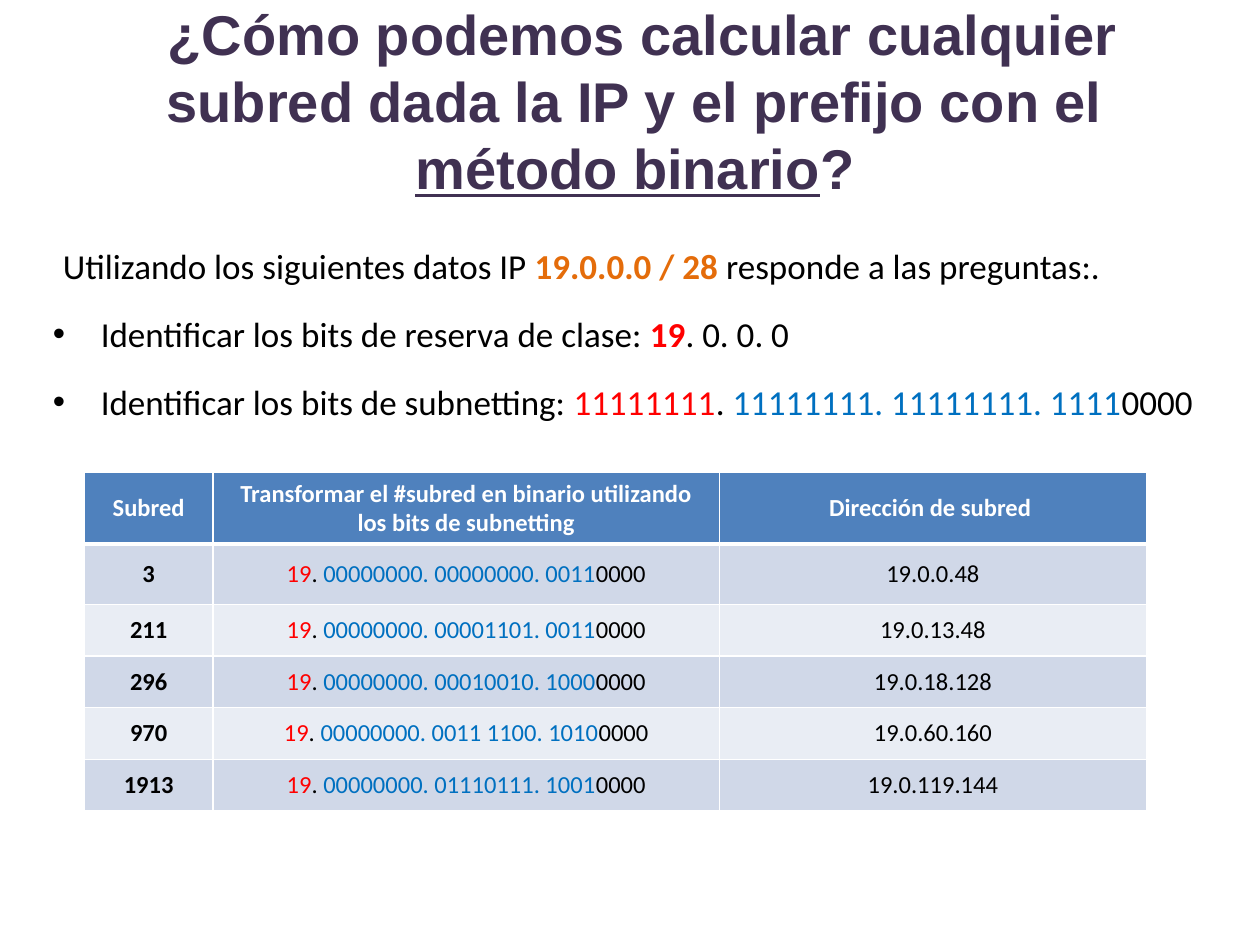
from lxml import etree
from pptx import Presentation
from pptx.dml.color import RGBColor
from pptx.enum.text import MSO_ANCHOR, PP_ALIGN
from pptx.oxml.ns import qn
from pptx.util import Inches, Pt

BLACK = RGBColor(0x00, 0x00, 0x00)
WHITE = RGBColor(0xFF, 0xFF, 0xFF)
RED = RGBColor(0xFF, 0x00, 0x00)
BLUE = RGBColor(0x00, 0x70, 0xC0)
ORANGE = RGBColor(0xE4, 0x6C, 0x0A)
PURPLE = RGBColor(0x40, 0x31, 0x52)
HEADER_FILL = RGBColor(0x4F, 0x81, 0xBD)
BAND_FILLS = [RGBColor(0xD0, 0xD8, 0xE8), RGBColor(0xE9, 0xED, 0xF4)]

# Spans are (text, colour, bold, underlined); the last two may be left out.
TITLE = [
    (" ", PURPLE),
    ("¿Cómo podemos calcular cualquier subred dada la IP y el prefijo con el ", PURPLE, True),
    ("método binario", PURPLE, True, True),
    ("?", PURPLE, True),
]
INTRO = [
    ("Utilizando los siguientes datos IP ", BLACK),
    ("19.0.0.0 / 28 ", ORANGE, True),
    ("responde a las preguntas:.", BLACK),
]
STEPS = [
    [("Identificar los bits de reserva de clase: ", BLACK),
     ("19", RED, True), (". 0. 0. 0 ", BLACK)],
    [("Identificar los bits de subnetting: ", BLACK), ("11111111", RED), (". ", BLACK),
     ("11111111. 11111111. 1111", BLUE), ("0000", BLACK)],
]
HEADERS = ["Subred", "Transformar el #subred en binario utilizando los bits de subnetting",
           "Dirección de subred "]
SUBNETS = [
    ("3", "00000000. 00000000. 0011", "19.0.0.48"),
    ("211", "00000000. 00001101. 0011", "19.0.13.48"),
    ("296", "00000000. 00010010. 1000", "19.0.18.128"),
    ("970", "00000000. 0011 1100. 1010", "19.0.60.160"),
    ("1913", "00000000. 01110111. 1001", "19.0.119.144"),
]
COLUMN_WIDTHS = [1.02, 4.02, 3.39]
ROW_HEIGHTS = [0.56, 0.48] + [0.41] * 4


def add_spans(para, spans, font, size, align):
    para.alignment = align
    for text, color, *style in spans:
        bold, underline = (style + [False, False])[:2]
        span = para.add_run()
        span.text = text
        span.font.name = font
        span.font.size = Pt(size)
        span.font.color.rgb = color
        span.font.bold = bold
        span.font.underline = underline


def add_frame(page, left, top, width, height, inset_x=0, inset_y=0):
    box = page.shapes.add_textbox(Inches(left), Inches(top), Inches(width), Inches(height))
    frame = box.text_frame
    frame.word_wrap = True
    frame.margin_left = frame.margin_right = Inches(inset_x)
    frame.margin_top = frame.margin_bottom = Inches(inset_y)
    return frame


def indent(para, margin, first_line=0, bullet=None):
    props = para._p.get_or_add_pPr()
    props.set("marL", str(Inches(margin)))
    props.set("indent", str(Inches(first_line)))
    if bullet:
        etree.SubElement(props, qn("a:buFont"), typeface="Arial")
        etree.SubElement(props, qn("a:buChar"), char=bullet)


def fill_cell(cell, spans, fill, bottom_width=1):
    """Write a cell with its fill and white borders."""
    props = cell._tc.get_or_add_tcPr()
    for side, width in (("L", 1), ("R", 1), ("T", 1), ("B", bottom_width)):
        line = etree.SubElement(props, qn(f"a:ln{side}"), w=str(Pt(width)))
        solid = etree.SubElement(line, qn("a:solidFill"))
        etree.SubElement(solid, qn("a:srgbClr"), val=str(WHITE))
    cell.fill.solid()
    cell.fill.fore_color.rgb = fill
    cell.vertical_anchor = MSO_ANCHOR.MIDDLE
    add_spans(cell.text_frame.paragraphs[0], spans, "Calibri", 14, PP_ALIGN.CENTER)


def add_subnet_table(page):
    table = page.shapes.add_table(
        len(ROW_HEIGHTS), len(COLUMN_WIDTHS), Inches(0.67), Inches(3.75),
        Inches(sum(COLUMN_WIDTHS)), Inches(sum(ROW_HEIGHTS))).table
    for column, width in zip(table.columns, COLUMN_WIDTHS):
        column.width = Inches(width)
    for row, height in zip(table.rows, ROW_HEIGHTS):
        row.height = Inches(height)
    for cell, header in zip(table.rows[0].cells, HEADERS):
        fill_cell(cell, [(header, WHITE, True)], HEADER_FILL, bottom_width=3)
    for index, (number, bits, address) in enumerate(SUBNETS):
        contents = [
            [(number, BLACK, True)],
            [("19", RED), (". ", BLACK), (bits, BLUE), ("0000", BLACK)],
            [(address, BLACK)],
        ]
        for cell, spans in zip(table.rows[index + 1].cells, contents):
            fill_cell(cell, spans, BAND_FILLS[index % 2])


def main():
    deck = Presentation()
    deck.slide_width, deck.slide_height = Inches(10), Inches(7.5)
    page = deck.slides.add_slide(deck.slide_layouts[6])

    body = add_frame(page, 0.41, 1.94, 9.17, 1.43)
    para = body.paragraphs[0]
    indent(para, 0.09)
    add_spans(para, INTRO, "Calibri", 20, PP_ALIGN.JUSTIFY)
    for step in STEPS:
        para = body.add_paragraph()
        indent(para, 0.39, -0.38, "•")
        para.space_before = Pt(14.8)
        add_spans(para, step, "Calibri", 20, PP_ALIGN.JUSTIFY)

    title = add_frame(page, 0.67, 0.17, 8.74, 1.25, 0.1, 0.05)
    title.vertical_anchor = MSO_ANCHOR.MIDDLE
    add_spans(title.paragraphs[0], TITLE, "Arial", 32, PP_ALIGN.CENTER)

    add_subnet_table(page)
    deck.save("out.pptx")


if __name__ == "__main__":
    main()
